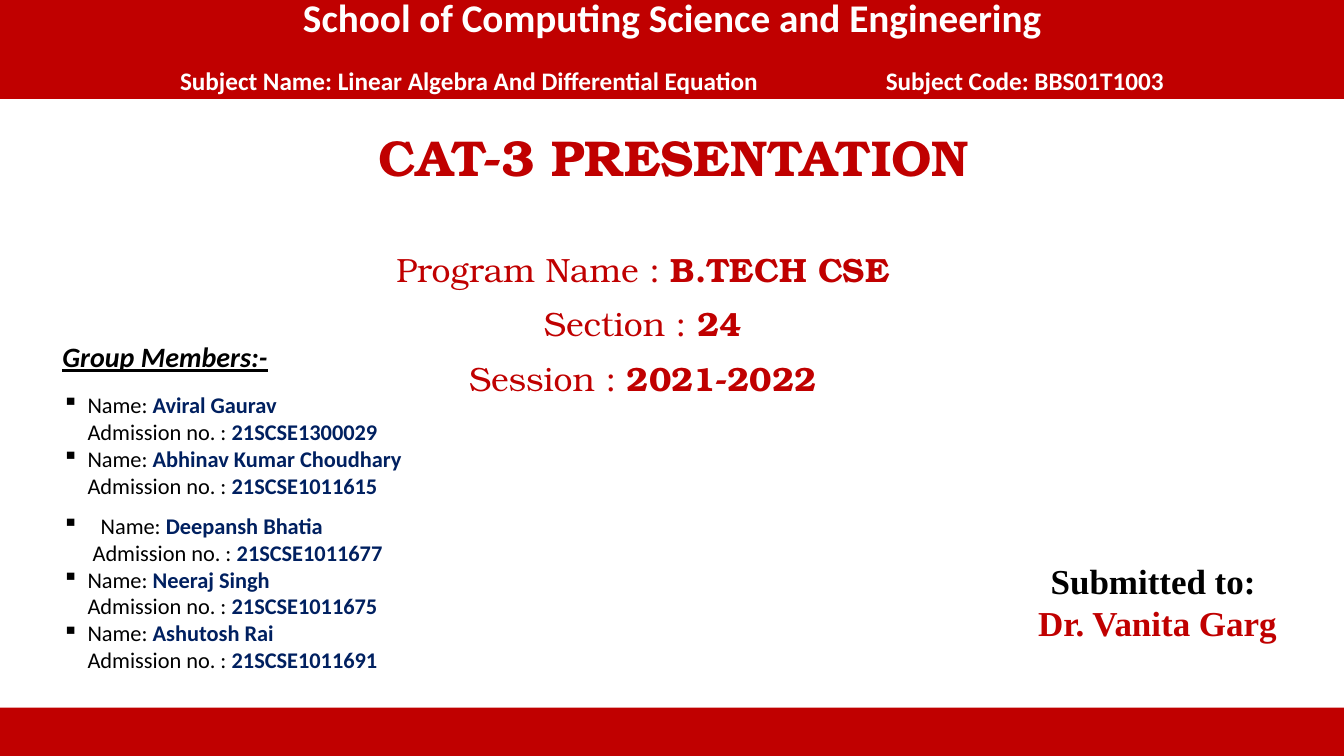
"""Build the title slide of a student group presentation."""
from lxml import etree
from pptx import Presentation
from pptx import util as u
from pptx.dml.color import RGBColor
from pptx.enum import shapes, text
from pptx.oxml.ns import qn

RED, NAVY, BLACK, WHITE = "C00000", "002060", "000000", "FFFFFF"


def color(value):
    """Turn a hex string into a colour."""
    return RGBColor.from_string(value)


def add_text(box, paragraphs):
    """Add a text box of (paragraph format, bullet, runs) entries."""
    frame = slide.shapes.add_textbox(*map(u.Inches, box)).text_frame
    frame.word_wrap = True
    for index, (layout, bullet, runs) in enumerate(paragraphs):
        paragraph = frame.add_paragraph() if index else frame.paragraphs[0]
        properties = paragraph._p.get_or_add_pPr()
        for name, value in layout.items():
            if name in ("left", "hanging"):
                attribute = {"left": "marL", "hanging": "indent"}[name]
                properties.set(attribute, str(u.Inches(value)))
            else:
                setattr(paragraph, name, value)
        if bullet:
            etree.SubElement(properties, qn("a:buChar")).set("char", bullet)
        for words, fill, values in runs:
            run = paragraph.add_run()
            run.text = words
            run.font.color.rgb = color(fill)
            for name, value in values.items():
                setattr(run.font, name, value)


presentation = Presentation()
presentation.slide_width = u.Inches(13.33)
presentation.slide_height = u.Inches(7.5)
slide = presentation.slides.add_slide(presentation.slide_layouts[6])

for top, height in ((-0.01, 0.99), (7.02, 0.48)):
    band = slide.shapes.add_shape(
        shapes.MSO_SHAPE.RECTANGLE, 0, u.Inches(top), u.Inches(13.33), u.Inches(height))
    band.shadow.inherit = False
    band.fill.solid()
    band.fill.fore_color.rgb = color(RED)
    band.line.fill.background()

centered = {"alignment": text.PP_ALIGN.CENTER}
program = {"name": "TeX Gyre Bonum", "size": u.Pt(24)}
details = (("Program Name : ", "B.TECH CSE"), ("Section : ", "24"), ("Session : ", "2021-2022"))
add_text((3.42, 2.42, 5.91, 2), [
    (centered | {"space_before": u.Pt(10 if index else 0)}, None,
     [(label, RED, program), (value, RED, program | {"bold": True})])
    for index, (label, value) in enumerate(details)])

title = {"name": "TeX Gyre Bonum", "size": u.Pt(36), "bold": True}
add_text((3.1, 1.2, 7.17, 0.71), [(centered, None, [("CAT-3 PRESENTATION", RED, title)])])

heading = {"name": "Calibri", "size": u.Pt(28), "bold": True}
tight = centered | {"line_spacing": 0.9}
add_text((0, -0.06, 13.33, 1.07), [
    (tight, None, [("School of Computing Science and Engineering", WHITE, heading)]),
    (tight | {"space_before": u.Pt(19.8)}, None,
     [("Subject Name: Linear Algebra And Differential Equation\t\t\tSubject Code: BBS01T1003",
       WHITE, heading | {"size": u.Pt(18)})])])

members = (
    ("Aviral Gaurav", "21SCSE1300029", {"left": 0.25, "hanging": -0.25, "space_before": u.Pt(12.8)}, 0.25),
    ("Abhinav Kumar Choudhary", "21SCSE1011615", {"left": 0.25, "hanging": -0.25}, 0.25),
    ("Deepansh Bhatia", "21SCSE1011677", {"left": 0.38, "hanging": -0.38, "line_spacing": 1.5}, 0.3),
    ("Neeraj Singh", "21SCSE1011675", {"left": 0.25, "hanging": -0.25}, 0.25),
    ("Ashutosh Rai", "21SCSE1011691", {"left": 0.25, "hanging": -0.25}, 0.25),
)
plain = {"name": "Calibri", "size": u.Pt(16)}
strong = plain | {"bold": True}
group = strong | {"size": u.Pt(20), "italic": True, "underline": True}
member_lines = [({}, None, [("Group Members:-", BLACK, group)])]
for name, admission, layout, indent in members:
    member_lines += [
        (layout, "▪", [("Name: ", BLACK, plain), (name, NAVY, strong)]),
        ({"left": indent, "hanging": 0}, None,
         [("Admission no. : ", BLACK, plain), (admission, NAVY, strong)])]
add_text((0.52, 3.32, 4.75, 3.44), member_lines)

teacher = {"name": "Times New Roman", "size": u.Pt(25), "bold": True}
add_text((10, 5.5, 2.96, 0.94), [
    (centered, None, [(words, fill, teacher)])
    for words, fill in (("Submitted to: ", BLACK), ("Dr. Vanita Garg", RED))])

presentation.save("out.pptx")
